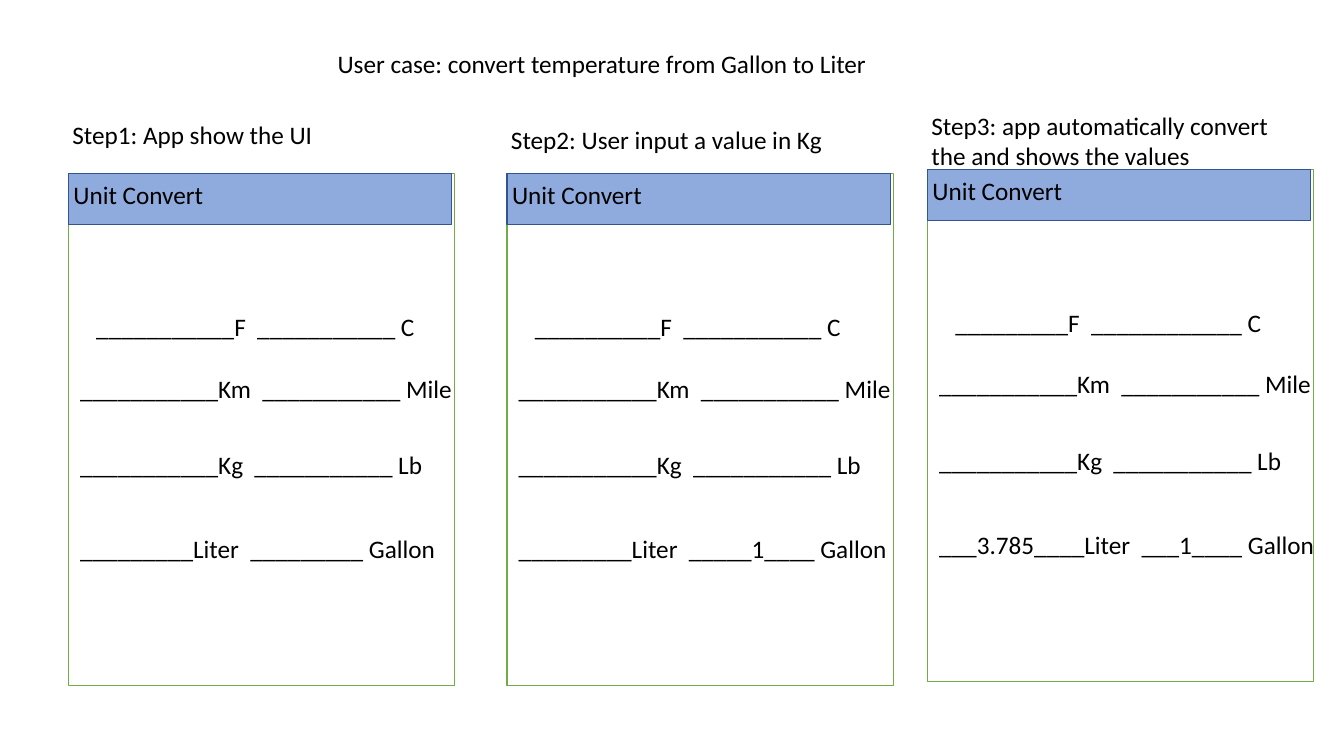
from pptx import Presentation
from pptx.dml.color import RGBColor
from pptx.enum.shapes import MSO_SHAPE as SHAPE
from pptx.enum.text import MSO_AUTO_SIZE as AUTO
from pptx.util import Inches, Pt


def add_box(x, y, w, h, fill, line):
    s = slide.shapes.add_shape(SHAPE.RECTANGLE, Inches(x), Inches(y), Inches(w), Inches(h))
    s.shadow.inherit = False
    s.fill.solid()
    s.fill.fore_color.rgb = RGBColor.from_string(fill)
    s.line.color.rgb = RGBColor.from_string(line)
    s.line.width = Pt(1)


def add_text(x, y, w, h, text, wrap=True):
    tf = slide.shapes.add_textbox(Inches(x), Inches(y), Inches(w), Inches(h)).text_frame
    tf.word_wrap = wrap
    tf.auto_size = AUTO.SHAPE_TO_FIT_TEXT
    p = tf.paragraphs[0]
    p.text = text
    p.font.size = Pt(18)
    p.font.name = "Calibri"
    p.font.color.rgb = RGBColor.from_string("000000")


prs = Presentation()
prs.slide_width = Inches(13.33)
prs.slide_height = Inches(7.5)
slide = prs.slides.add_slide(prs.slide_layouts[6])

# Title
add_text(3.25, 0.43, 5.56, 0.4, "User case: convert temperature from Gallon to Liter", wrap=False)

# Steps: screen left and top, caption top and height, caption, temperature and volume rows
steps = [
    (0.68, 1.72, 1.13, 0.4, "Step1: App show the UI",
     " ___________F  ___________ C", " _________Liter  _________ Gallon"),
    (5.03, 1.72, 1.18, 0.4, "Step2: User input a value in Kg",
     " __________F  ___________ C", " _________Liter  _____1____ Gallon"),
    (9.2, 1.68, 1.04, 0.71, "Step3: app automatically convert the and shows the values",
     " _________F  ____________ C", " ___3.785____Liter  ___1____ Gallon"),
]

for x, y, caption_y, caption_h, caption, temperature, volume in steps:
    # App screen with its header bar
    add_box(x, y, 3.83, 5.08, "FFFFFF", "70AD47")
    add_box(x, y, 3.8, 0.51, "8FAADC", "325491")
    add_text(x - 0.05, y + 0.01, 2.48, 0.4, "Unit Convert")

    # Input rows: offsets from the screen corner, width, text
    rows = [
        (0.12, 1.32, 3.47, temperature),
        (-0.04, 1.93, 4.07, " ___________Km  ___________ Mile"),
        (-0.04, 2.69, 3.83, " ___________Kg  ___________ Lb"),
        (-0.04, 3.52, 4.41, volume),
    ]
    for dx, dy, w, text in rows:
        add_text(x + dx, y + dy, w, 0.4, text)

    # Caption above the screen
    add_text(x - 0.06, caption_y, 3.84, caption_h, caption)

prs.save("out.pptx")
